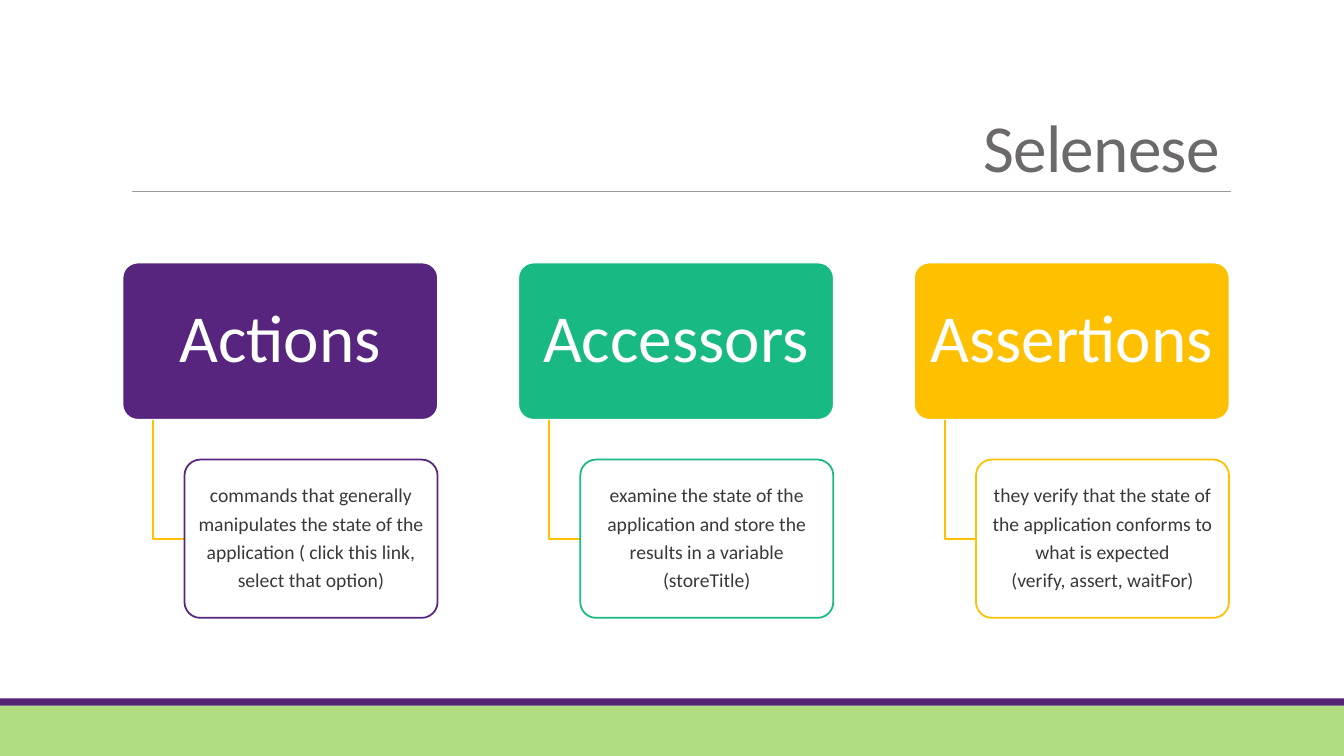
from dataclasses import dataclass

from lxml.etree import SubElement
from pptx import Presentation
from pptx.dml.color import RGBColor
from pptx.enum.shapes import MSO_CONNECTOR, MSO_SHAPE
from pptx.enum.text import MSO_ANCHOR, MSO_AUTO_SIZE, PP_ALIGN
from pptx.oxml.ns import qn
from pptx.shapes.autoshape import Shape
from pptx.slide import Slide
from pptx.text.text import TextFrame
from pptx.util import Inches, Pt

WHITE = RGBColor(0xFF, 0xFF, 0xFF)
PURPLE = RGBColor(0x57, 0x25, 0x7D)
GREEN = RGBColor(0x18, 0xB9, 0x82)
AMBER = RGBColor(0xFF, 0xC0, 0x00)
TITLE_GREY = RGBColor(0x6C, 0x69, 0x69)
RULE_GREY = RGBColor(0x9E, 0x9A, 0x9A)
DETAIL_GREY = RGBColor(0x3A, 0x38, 0x38)
FOOTER_GREEN = RGBColor(0xB0, 0xDD, 0x7F)
FOOTER_PURPLE = RGBColor(0x53, 0x24, 0x76)

FONT = "Calibri"
FIRST_LEFT, COLUMN_STEP = 1.21, 3.925
HEADING_TOP, HEADING_WIDTH, BOX_HEIGHT = 2.6, 3.14, 1.57
DETAIL_TOP, DETAIL_WIDTH = 4.56, 2.51
ELBOW_INDENT, DETAIL_INDENT = 0.31, 0.62


@dataclass(frozen=True)
class Command:
    name: str
    color: RGBColor
    details: tuple[str, ...]


@dataclass(frozen=True)
class TextStyle:
    size: float
    color: RGBColor
    margin_x: float
    margin_y: float


HEADING_STYLE = TextStyle(48, WHITE, 0.1, 0.07)
DETAIL_STYLE = TextStyle(14, DETAIL_GREY, 0.03, 0.02)

COMMANDS = (
    Command("Actions", PURPLE, (
        "commands that generally",
        "manipulates the state of the",
        "application ( click this link,",
        "select that option)",
    )),
    Command("Accessors", GREEN, (
        "examine the state of the",
        "application and store the",
        "results in a variable",
        "(storeTitle)",
    )),
    Command("Assertions", AMBER, (
        "they verify that the state of",
        "the application conforms to",
        "what is expected",
        "(verify, assert, waitFor)",
    )),
)


def write_lines(frame: TextFrame, lines: tuple[str, ...], style: TextStyle) -> None:
    frame.word_wrap = True
    frame.vertical_anchor = MSO_ANCHOR.MIDDLE
    frame.margin_left = frame.margin_right = Inches(style.margin_x)
    frame.margin_top = frame.margin_bottom = Inches(style.margin_y)
    for index, line in enumerate(lines):
        para = frame.add_paragraph() if index else frame.paragraphs[0]
        para.alignment = PP_ALIGN.CENTER
        para.line_spacing = 0.9
        para.space_after = Pt(style.size * 0.35)
        span = para.add_run()
        span.text = line
        span.font.name = FONT
        span.font.size = Pt(style.size)
        span.font.color.rgb = style.color


def add_box(page: Slide, left: float, top: float, width: float,
            fill: RGBColor, line: RGBColor, line_width: float) -> Shape:
    box = page.shapes.add_shape(MSO_SHAPE.ROUNDED_RECTANGLE, Inches(left), Inches(top),
                                Inches(width), Inches(BOX_HEIGHT))
    box.adjustments[0] = 0.1
    box.shadow.inherit = False
    box.fill.solid()
    box.fill.fore_color.rgb = fill
    box.line.color.rgb = line
    box.line.width = Pt(line_width)
    return box


def add_elbow(page: Slide, left: float) -> None:
    top = HEADING_TOP + BOX_HEIGHT
    bottom = DETAIL_TOP + BOX_HEIGHT / 2
    right = left + DETAIL_INDENT - ELBOW_INDENT
    builder = page.shapes.build_freeform(Inches(left), Inches(top))
    builder.add_line_segments(
        [(Inches(left), Inches(bottom)), (Inches(right), Inches(bottom))], close=False)
    elbow = builder.convert_to_shape()
    elbow.shadow.inherit = False
    elbow.fill.background()
    elbow.line.color.rgb = AMBER
    elbow.line.width = Pt(1.25)


def add_command(page: Slide, command: Command, left: float) -> None:
    heading = add_box(page, left, HEADING_TOP, HEADING_WIDTH, command.color, WHITE, 2)
    write_lines(heading.text_frame, (command.name,), HEADING_STYLE)
    add_elbow(page, left + ELBOW_INDENT)
    detail = add_box(page, left + DETAIL_INDENT, DETAIL_TOP, DETAIL_WIDTH,
                     WHITE, command.color, 1.25)
    color = detail.fill._xPr.find(qn("a:solidFill"))[0]
    SubElement(color, qn("a:alpha")).set("val", "90000")
    write_lines(detail.text_frame, command.details, DETAIL_STYLE)


def add_band(page: Slide, top: float, height: float, color: RGBColor) -> None:
    band = page.shapes.add_shape(MSO_SHAPE.RECTANGLE, 0, Inches(top),
                                 Inches(13.33), Inches(height))
    band.shadow.inherit = False
    band.fill.solid()
    band.fill.fore_color.rgb = color
    band.line.fill.background()


def add_title_rule(page: Slide) -> None:
    rule = page.shapes.add_connector(MSO_CONNECTOR.STRAIGHT, Inches(1.31), Inches(1.9),
                                     Inches(12.21), Inches(1.9))
    rule.line.color.rgb = RULE_GREY
    rule.line.width = Pt(0.5)
    SubElement(rule._element.spPr, qn("a:effectLst"))


def set_title(page: Slide, text: str) -> None:
    title = page.shapes.title
    title.left, title.top = Inches(1.2), Inches(0.31)
    title.width, title.height = Inches(11), Inches(1.59)
    frame = title.text_frame
    frame.auto_size = MSO_AUTO_SIZE.NONE
    frame.vertical_anchor = MSO_ANCHOR.BOTTOM
    para = frame.paragraphs[0]
    para.alignment = PP_ALIGN.RIGHT
    para.line_spacing = 0.85
    span = para.add_run()
    span.text = text
    span.font.name = FONT
    span.font.size = Pt(48)
    span.font.color.rgb = TITLE_GREY
    span._r.get_or_add_rPr().set("spc", "-50")


def main() -> None:
    deck = Presentation()
    deck.slide_width, deck.slide_height = Inches(13.33), Inches(7.5)
    page = deck.slides.add_slide(deck.slide_layouts.get_by_name("Title Only"))
    add_band(page, 7, 0.5, FOOTER_GREEN)
    add_band(page, 6.93, 0.07, FOOTER_PURPLE)
    add_title_rule(page)
    set_title(page, "Selenese")
    for column, command in enumerate(COMMANDS):
        add_command(page, command, FIRST_LEFT + column * COLUMN_STEP)
    deck.save("out.pptx")


if __name__ == "__main__":
    main()
